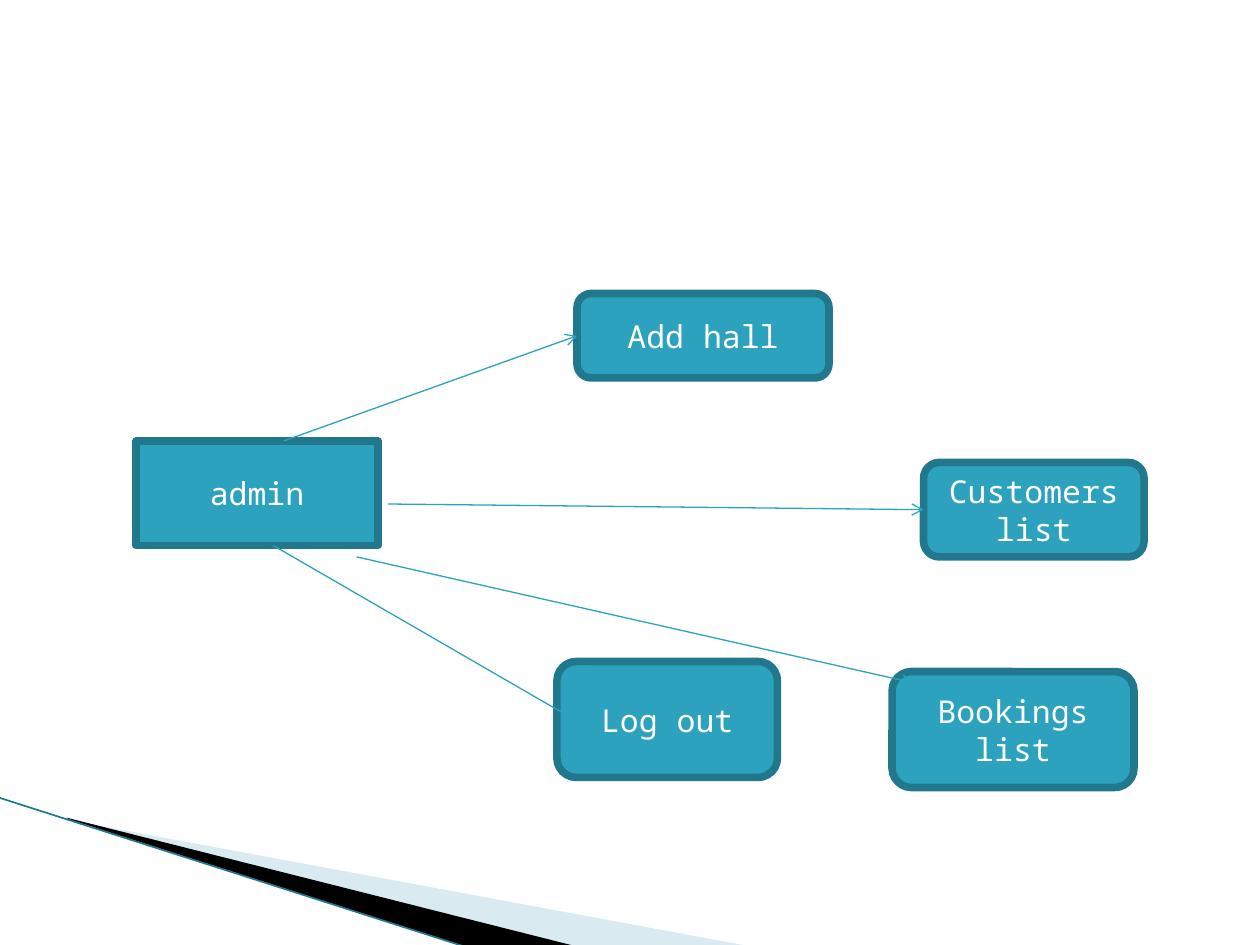
from lxml import etree
from pptx import Presentation
from pptx.dml.color import RGBColor
from pptx.enum import shapes, text
from pptx.oxml.ns import qn
from pptx.util import Inches, Pt

COLORS = {"fill": "2DA2BF", "border": "21788D", "pale": "A0CBDC",
          "black": "000000", "text": "FFFFFF"}


def rgb(name):
    return RGBColor.from_string(COLORS[name])


def add_line(start, end, color, width):
    """Add a straight, shadowless connector between two points in inches."""
    cx = s.shapes.add_connector(shapes.MSO_CONNECTOR.STRAIGHT,
                                *map(Inches, start + end))
    cx.line.color.rgb = rgb(color)
    cx.line.width = Pt(width)
    etree.SubElement(cx._element.spPr, qn("a:effectLst"))
    return cx


prs = Presentation()
prs.slide_width, prs.slide_height = Inches(10), Inches(7.5)
s = prs.slides.add_slide(prs.slide_layouts[6])

# Corner decoration
wedges = [
    ("pale", 40, [(0.55, 6.51), (5.95, 7.51), (4.56, 7.51), (0.55, 6.5)]),
    ("black", 100, [(0.53, 6.49), (4.57, 7.51), (3.72, 7.52), (0.54, 6.5)]),
]
for color, opacity, points in wedges:
    (x, y), *rest = points
    fb = s.shapes.build_freeform(Inches(x), Inches(y), scale=1.0)
    fb.add_line_segments([(Inches(px), Inches(py)) for px, py in rest])
    sp = fb.convert_to_shape()
    sp.shadow.inherit = False
    sp.fill.solid()
    sp.fill.fore_color.rgb = rgb(color)
    sp.line.fill.background()
    if opacity < 100:
        clr = sp._element.spPr.find(qn("a:solidFill"))[0]
        etree.SubElement(clr, qn("a:alpha"), val=str(opacity * 1000))
add_line((-0.01, 6.33), (3.71, 7.52), "border", 0.95)

# Boxes
RECT = shapes.MSO_SHAPE.RECTANGLE
ROUND = shapes.MSO_SHAPE.ROUNDED_RECTANGLE
boxes = {}
for label, kind, left, top, width, height in [
    ("admin", RECT, 1.08, 3.5, 1.92, 0.83),
    ("Add hall", ROUND, 4.58, 2.33, 2, 0.67),
    ("Customers list", ROUND, 7.33, 3.67, 1.75, 0.75),
    ("Bookings list", ROUND, 7.08, 5.33, 1.92, 0.92),
    ("Log out", ROUND, 4.42, 5.25, 1.75, 0.92),
]:
    sp = s.shapes.add_shape(kind, *map(Inches, (left, top, width, height)))
    sp.shadow.inherit = False
    sp.fill.solid()
    sp.fill.fore_color.rgb = rgb("fill")
    sp.line.color.rgb = rgb("border")
    sp.line.width = Pt(4.33)
    tf = sp.text_frame
    tf.word_wrap = True
    tf.vertical_anchor = text.MSO_ANCHOR.MIDDLE
    p = tf.paragraphs[0]
    p.text = label
    p.alignment = text.PP_ALIGN.CENTER
    p.font.name = "Noto Sans Mono"
    p.font.size = Pt(18)
    p.font.color.rgb = rgb("text")
    boxes[label] = sp

# Arrows from admin; the named ones join the middle of the target's left side
for start, end, target in [
    ((2.25, 3.5), (4.58, 2.67), "Add hall"),
    ((3.08, 4), (7.33, 4.04), "Customers list"),
    ((2.83, 4.42), (7.25, 5.42), None),
    ((2.17, 4.33), (4.92, 5.92), None),
]:
    cx = add_line(start, end, "fill", 0.75)
    etree.SubElement(cx.line._get_or_add_ln(), qn("a:tailEnd"), type="arrow")
    if target:
        cx.end_connect(boxes[target], 1)

prs.save("out.pptx")
